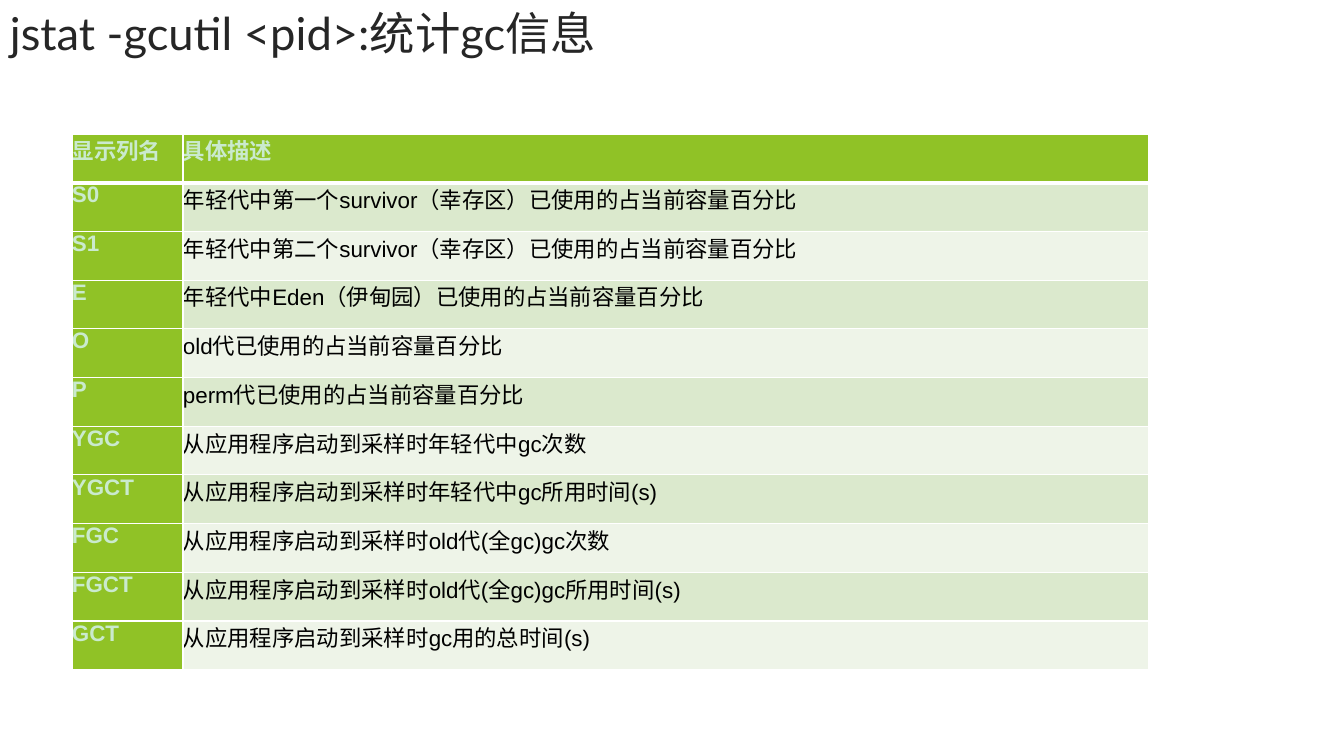
import pptx
import pptx.util
import pptx.dml.color
import pptx.enum.text
import pptx.oxml
import pptx.oxml.ns

SCALE = 914400 / 100.8
GREEN = "90C226"
PALE = "CAEACE"
BANDS = ["DBE9CD", "EEF4E8"]
HEAD = ("显示列名", "具体描述")
ROWS = [
    ("S0", "年轻代中第一个survivor（幸存区）已使用的占当前容量百分比"),
    ("S1", "年轻代中第二个survivor（幸存区）已使用的占当前容量百分比"),
    ("E", "年轻代中Eden（伊甸园）已使用的占当前容量百分比"),
    ("O", "old代已使用的占当前容量百分比"),
    ("P", "perm代已使用的占当前容量百分比"),
    ("YGC", "从应用程序启动到采样时年轻代中gc次数"),
    ("YGCT", "从应用程序启动到采样时年轻代中gc所用时间(s)"),
    ("FGC", "从应用程序启动到采样时old代(全gc)gc次数"),
    ("FGCT", "从应用程序启动到采样时old代(全gc)gc所用时间(s)"),
    ("GCT", "从应用程序启动到采样时gc用的总时间(s)"),
]


def px(size):
    return pptx.util.Emu(round(size * SCALE))


def color(code):
    return pptx.dml.color.RGBColor.from_string(code)


def apply(item, values):
    for key, value in values.items():
        setattr(item, key, value)


def write(frame, text, code, **style):
    para = frame.paragraphs[0]
    run = para.add_run()
    run.text = text
    apply(run.font, style)
    run.font.color.rgb = color(code)


def border(cell, side, width, code):
    line = pptx.oxml.parse_xml(
        f'<a:{side} {pptx.oxml.ns.nsdecls("a")} w="{pptx.util.Pt(width)}">'
        f'<a:solidFill><a:srgbClr val="{code}"/></a:solidFill></a:{side}>'
    )
    cell._tc.get_or_add_tcPr().append(line)


def title(slide, box, text):
    frame = slide.shapes.add_textbox(*map(px, box)).text_frame
    apply(frame, {
        "word_wrap": True,
        "vertical_anchor": pptx.enum.text.MSO_ANCHOR.MIDDLE,
    })
    write(frame, text, "262626", name="Lato", size=pptx.util.Pt(32.4))


def style_cell(cell, text, row, col):
    apply(cell, dict.fromkeys(
        ("margin_left", "margin_top", "margin_right", "margin_bottom"), 0))
    label = row == 0 or col == 0
    widths = {
        "lnL": 1,
        "lnR": 1,
        "lnT": 3 if row == 1 else 1,
        "lnB": 3 if row == 0 else 1,
    }
    for side, width in widths.items():
        border(cell, side, width, "FFFFFF")
    cell.fill.solid()
    cell.fill.fore_color.rgb = color(GREEN if label else BANDS[(row - 1) % 2])
    write(cell.text_frame, text, PALE if label else "000000",
          name="Arial", size=pptx.util.Pt(16), bold=label)


def stats(slide, box, split):
    data = [HEAD] + ROWS
    table = slide.shapes.add_table(len(data), len(HEAD), *map(px, box)).table
    for column, width in zip(table.columns, (split, box[2] - split)):
        column.width = px(width)
    for row, texts in enumerate(data):
        table.rows[row].height = px(box[3] / len(data))
        for col, text in enumerate(texts):
            style_cell(table.cell(row, col), text, row, col)


def main():
    deck = pptx.Presentation()
    apply(deck, {"slide_width": px(1344), "slide_height": px(756)})
    slide = deck.slides.add_slide(deck.slide_layouts[6])
    title(slide, (0, 0, 1230, 65), "jstat -gcutil <pid>:统计gc信息")
    stats(slide, (72, 134, 1077, 536), 111)
    deck.save("out.pptx")


if __name__ == "__main__":
    main()
